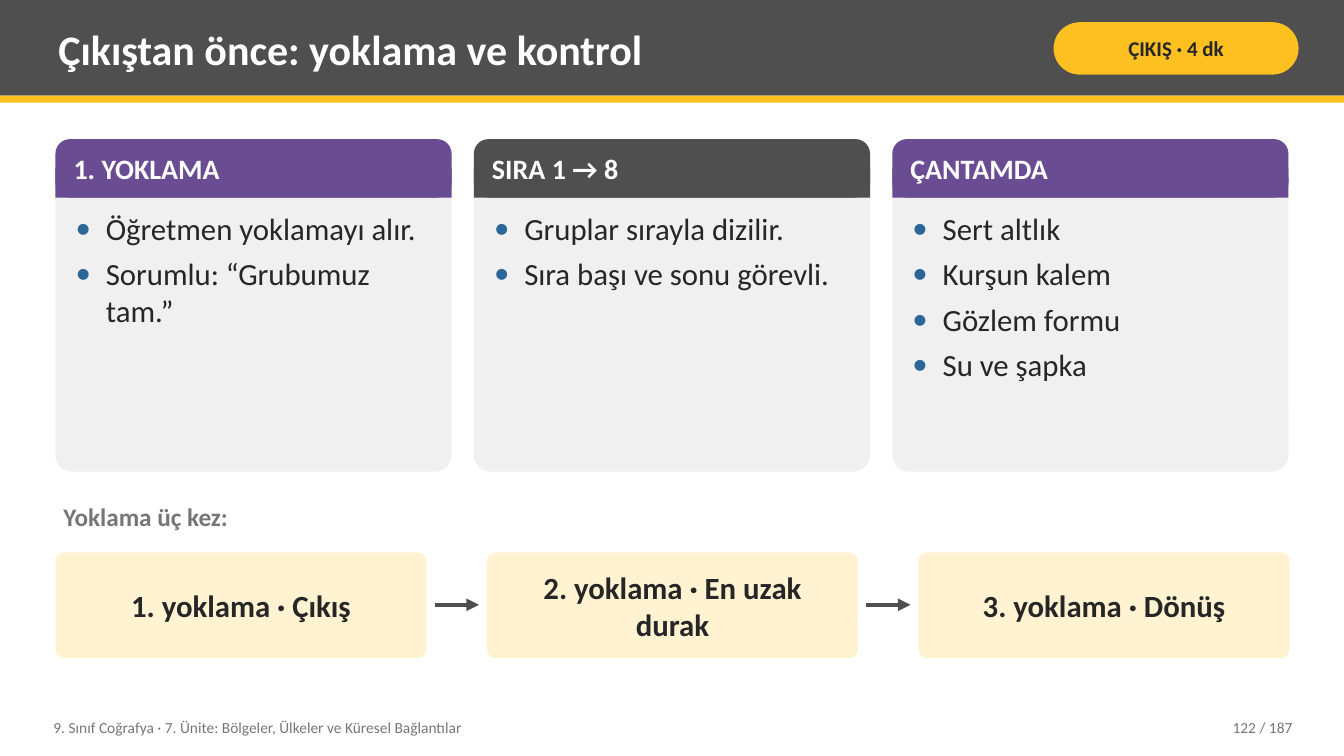
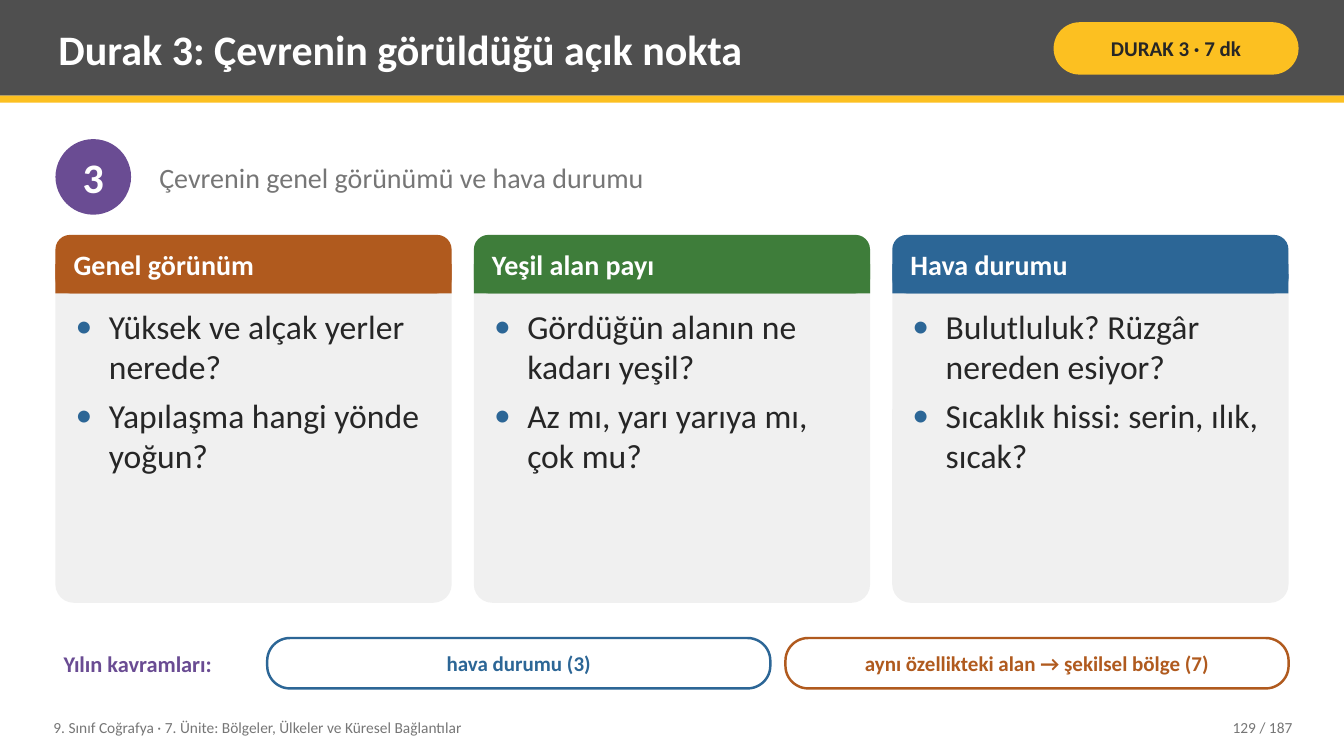
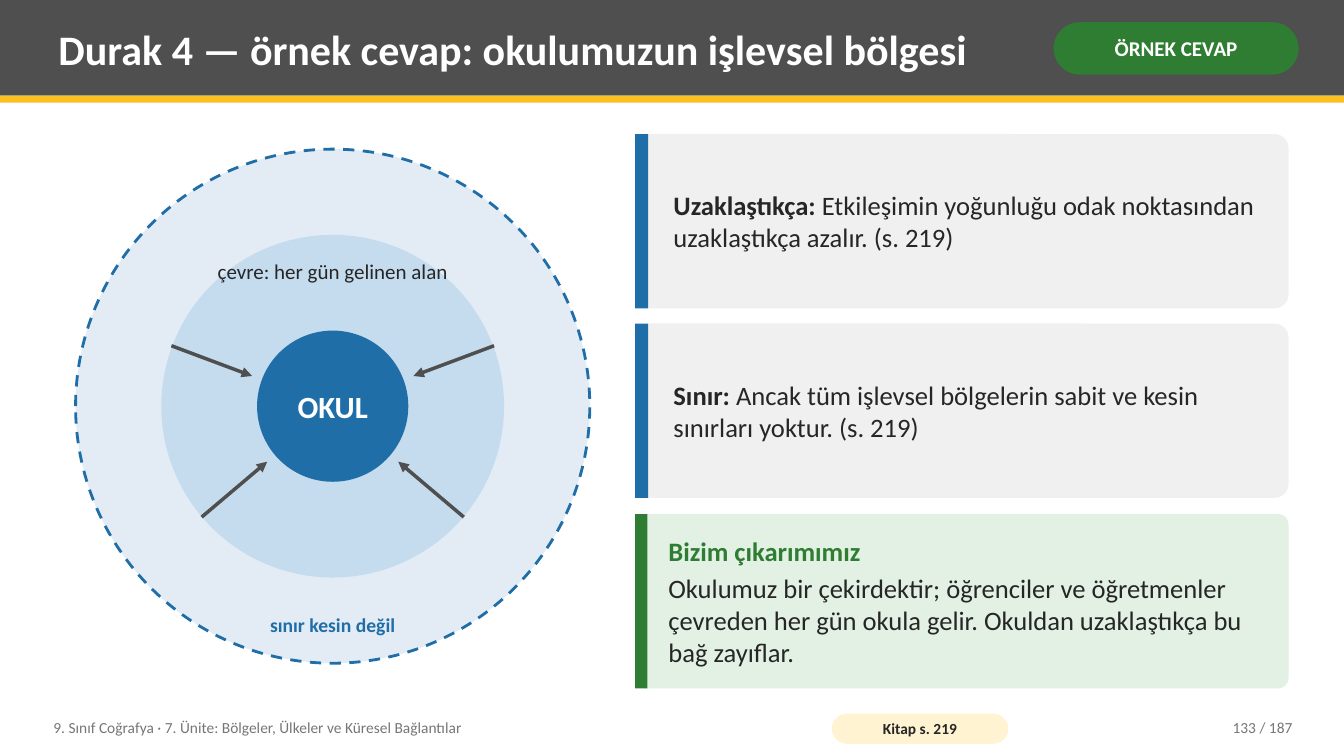
import pptx
import pptx.util
import pptx.dml.color
import pptx.enum.dml
import pptx.enum.shapes
import pptx.enum.text
import pptx.oxml.ns
from lxml import etree

PX = 9144  # 100 px to the inch
FONT = "Calibri"
COLORS = {
    "band": "4F4F4F", "yellow": "FCC021", "cream": "FFF3D1", "panel": "F0F0F0",
    "ink": "262626", "muted": "767676", "white": "FFFFFF", "purple": "6A4C93",
    "blue": "2C6696", "orange": "B05A1E", "leaf": "3E7D3A", "green": "2E7D32",
    "mint": "E3F1E4", "core": "1F6EA8", "ring": "C5DBEE", "outer": "E3ECF5",
}
FOOTER = "9. Sınıf Coğrafya · 7. Ünite: Bölgeler, Ülkeler ve Küresel Bağlantılar"
PAGES = 187
LEFT, RIGHT = 55, 1278
CARD_W, CARD_STEP = 393, 415
SHAPE = pptx.enum.shapes.MSO_SHAPE
ALIGN = pptx.enum.text.PP_ALIGN
ANCHOR = pptx.enum.text.MSO_ANCHOR


def px(*lengths):
    return [pptx.util.Emu(n * PX) for n in lengths]


def rgb(name):
    return pptx.dml.color.RGBColor.from_string(COLORS[name])


def add_run(p, text, size, color, bold=False):
    r = p.add_run()
    r.text = text
    r.font.name = FONT
    r.font.size = pptx.util.Pt(size)
    r.font.bold = bold
    r.font.color.rgb = rgb(color)


def frame(sp, anchor=ANCHOR.MIDDLE, inset=(8, 4)):
    """Set wrapping, anchor and insets (horizontal, vertical); return the text frame."""
    tf = sp.text_frame
    tf.word_wrap = True
    tf.auto_size = pptx.enum.text.MSO_AUTO_SIZE.NONE
    tf.vertical_anchor = anchor
    tf.margin_left, tf.margin_top = tf.margin_right, tf.margin_bottom = px(*inset)
    return tf


def text(s, box, words, size, color, bold=False, align=ALIGN.LEFT, anchor=ANCHOR.MIDDLE):
    tf = frame(s.shapes.add_textbox(*px(*box)), anchor)
    p = tf.paragraphs[0]
    p.alignment = align
    add_run(p, words, size, color, bold)


def shape(s, kind, box, fill=None, corner=None, line=None, width=1.75):
    sp = s.shapes.add_shape(kind, *px(*box))
    sp.shadow.inherit = False
    if corner is not None:
        sp.adjustments[0] = corner
    if fill:
        sp.fill.solid()
        sp.fill.fore_color.rgb = rgb(fill)
    else:
        sp.fill.background()
    if line:
        sp.line.color.rgb = rgb(line)
        sp.line.width = pptx.util.Pt(width)
    else:
        sp.line.fill.background()
    return sp


def label(sp, words, size, color, inset):
    p = frame(sp, inset=inset).paragraphs[0]
    p.alignment = ALIGN.CENTER
    add_run(p, words, size, color, True)


def circle(s, cx, cy, diameter, **style):
    box = (cx - diameter // 2, cy - diameter // 2, diameter, diameter)
    return shape(s, SHAPE.OVAL, box, **style)


def arrow(s, x1, y1, x2, y2, width):
    cn = s.shapes.add_connector(pptx.enum.shapes.MSO_CONNECTOR.STRAIGHT, *px(x1, y1, x2, y2))
    cn.line.color.rgb = rgb("band")
    cn.line.width = pptx.util.Pt(width)
    etree.SubElement(cn.line._get_or_add_ln(), pptx.oxml.ns.qn("a:tailEnd"), type="triangle")
    etree.SubElement(cn.element.spPr, pptx.oxml.ns.qn("a:effectLst"))


def place(sp, box):
    """Move a placeholder to box and bring it to the front."""
    sp.left, sp.top, sp.width, sp.height = px(*box)
    sp.element.getparent().append(sp.element)


def set_bullet(p, indent):
    pPr = p._p.get_or_add_pPr()
    pPr.set("marL", str(indent * PX))
    pPr.set("indent", str(-indent * PX))
    color = etree.SubElement(pPr, pptx.oxml.ns.qn("a:buClr"))
    etree.SubElement(color, pptx.oxml.ns.qn("a:srgbClr"), val=COLORS["blue"])
    etree.SubElement(pPr, pptx.oxml.ns.qn("a:buFont"), typeface=FONT)
    etree.SubElement(pPr, pptx.oxml.ns.qn("a:buChar"), char="•")


def bullets(sp, box, items, size, indent):
    place(sp, box)
    tf = frame(sp, ANCHOR.TOP)
    for i, item in enumerate(items):
        p = tf.add_paragraph() if i else tf.paragraphs[0]
        set_bullet(p, indent)
        p.space_before = pptx.util.Pt(0)
        p.space_after = pptx.util.Pt(6 if i < len(items) - 1 else 0)
        add_run(p, item, size, "ink")


def cards(s, top, height, size, indent, contents):
    """Row of cards; the lists fill the layout's body placeholders."""
    bodies = [sp for sp in s.placeholders if sp.placeholder_format.idx]
    for i, (heading, color, items) in enumerate(contents):
        x = LEFT + i * CARD_STEP
        shape(s, SHAPE.ROUNDED_RECTANGLE, (x, top, CARD_W, height), "panel", 0.05)
        shape(s, SHAPE.ROUNDED_RECTANGLE, (x, top, CARD_W, 58), color, 0.25)
        shape(s, SHAPE.RECTANGLE, (x, top + 29, CARD_W, 29), color)
        text(s, (x + 10, top, CARD_W - 20, 58), heading, 20, "white", True)
        bullets(bodies[i], (x + 12, top + 66, CARD_W - 24, height - 74), items, size, indent)
    for sp in bodies[len(contents):]:
        sp.element.getparent().remove(sp.element)


def new_slide(prs, layout, title, tag, page, tag_fill="yellow", tag_color="ink"):
    s = prs.slides.add_slide(prs.slide_layouts.get_by_name(layout))
    shape(s, SHAPE.RECTANGLE, (0, 0, 1333, 95), "band")
    shape(s, SHAPE.RECTANGLE, (0, 95, 1333, 7), "yellow")
    place(s.shapes.title, (50, 7, 975, 82))
    p = frame(s.shapes.title).paragraphs[0]
    p.alignment = ALIGN.LEFT
    add_run(p, title, 30, "white", True)
    pill = shape(s, SHAPE.ROUNDED_RECTANGLE, (1045, 22, 243, 52), tag_fill, 0.5)
    label(pill, tag, 15, tag_color, (5, 2))
    text(s, (45, 704, 760, 36), FOOTER, 11, "muted")
    text(s, (1130, 704, 160, 36), f"{page} / {PAGES}", 11, "muted", align=ALIGN.RIGHT)
    return s


def note(s, top, paragraphs, fill="panel", accent="core", corner=0.08, bar=13, pad=30):
    """Panel with an accent bar; each paragraph is a list of (text, color, bold)."""
    x, height = 630, 173
    shape(s, SHAPE.ROUNDED_RECTANGLE, (x, top, RIGHT - x, height), fill, corner)
    shape(s, SHAPE.RECTANGLE, (x, top, bar, height), accent)
    tf = frame(s.shapes.add_textbox(*px(x + pad, top, RIGHT - x - pad - 12, height)))
    for i, runs in enumerate(paragraphs):
        p = tf.add_paragraph() if i else tf.paragraphs[0]
        if i < len(paragraphs) - 1:
            p.space_after = pptx.util.Pt(4)
        for words, color, bold in runs:
            add_run(p, words, 19, color, bold)


def roll_call_slide(prs):
    s = new_slide(prs, "Comparison", "Çıkıştan önce: yoklama ve kontrol", "ÇIKIŞ · 4 dk", 122)
    cards(s, 138, 330, 22, 30, [
        ("1. YOKLAMA", "purple", ["Öğretmen yoklamayı alır.", "Sorumlu: “Grubumuz tam.”"]),
        ("SIRA 1 → 8", "band", ["Gruplar sırayla dizilir.", "Sıra başı ve sonu görevli."]),
        ("ÇANTAMDA", "purple", ["Sert altlık", "Kurşun kalem", "Gözlem formu", "Su ve şapka"]),
    ])
    text(s, (LEFT, 493, RIGHT - LEFT, 45), "Yoklama üç kez:", 18, "muted", True,
         anchor=ANCHOR.TOP)
    width, gap = 368, 60
    for i, moment in enumerate(["Çıkış", "En uzak durak", "Dönüş"]):
        x = LEFT + i * (width + gap)
        if i:
            arrow(s, x - gap + 8, 600, x - 8, 600, 3)
        step = shape(s, SHAPE.ROUNDED_RECTANGLE, (x, 548, width, 105), "cream", 0.08)
        label(step, f"{i + 1}. yoklama · {moment}", 22, "ink", (14, 8))


def viewpoint_slide(prs):
    s = new_slide(prs, "Comparison", "Durak 3: Çevrenin görüldüğü açık nokta",
                  "DURAK 3 · 7 dk", 129)
    number = shape(s, SHAPE.OVAL, (LEFT, 138, 75, 75), "purple")
    label(number, "3", 30, "white", (0, 0))
    number.text_frame.word_wrap = False
    text(s, (150, 138, 1128, 75), "Çevrenin genel görünümü ve hava durumu", 20, "muted")
    cards(s, 233, 365, 24, 33, [
        ("Genel görünüm", "orange",
         ["Yüksek ve alçak yerler nerede?", "Yapılaşma hangi yönde yoğun?"]),
        ("Yeşil alan payı", "leaf",
         ["Gördüğün alanın ne kadarı yeşil?", "Az mı, yarı yarıya mı, çok mu?"]),
        ("Hava durumu", "blue",
         ["Bulutluluk? Rüzgâr nereden esiyor?", "Sıcaklık hissi: serin, ılık, sıcak?"]),
    ])
    text(s, (LEFT, 633, 205, 50), "Yılın kavramları:", 16, "purple", True)
    concepts = [("hava durumu (3)", "blue"),
                ("aynı özellikteki alan → şekilsel bölge (7)", "orange")]
    for i, (concept, color) in enumerate(concepts):
        pill = shape(s, SHAPE.ROUNDED_RECTANGLE, (265 + i * 514, 633, 499, 50),
                     "white", 0.45, color)
        label(pill, concept, 15, color, (6, 0))


def school_region_slide(prs):
    s = new_slide(prs, "Title Only", "Durak 4 — örnek cevap: okulumuzun işlevsel bölgesi",
                  "ÖRNEK CEVAP", 133, "green", "white")
    cx, cy = 330, 403
    for diameter, fill in [(510, "outer"), (340, "ring"), (150, "core")]:
        circle(s, cx, cy, diameter, fill=fill)
    border = circle(s, cx, cy, 510, line="core", width=2)
    border.line.dash_style = pptx.enum.dml.MSO_LINE.DASH
    text(s, (255, 368, 150, 70), "OKUL", 22, "white", True, ALIGN.CENTER)
    text(s, (170, 241, 320, 55), "çevre: her gün gelinen alan", 15, "ink", align=ALIGN.CENTER)
    text(s, (170, 595, 320, 50), "sınır kesin değil", 14, "core", True, ALIGN.CENTER)
    for x1, y1, x2, y2 in [(170, 343, 250, 373), (200, 513, 265, 458)]:
        arrow(s, x1, y1, x2, y2, 2.5)
        arrow(s, 2 * cx - x1, y1, 2 * cx - x2, y2, 2.5)

    tops = [133 + i * 377 // 2 for i in range(3)]
    note(s, tops[0], [[
        ("Uzaklaştıkça:", "ink", True),
        (" Etkileşimin yoğunluğu odak noktasından uzaklaştıkça azalır. (s. 219)", "ink", False),
    ]])
    note(s, tops[1], [[
        ("Sınır:", "ink", True),
        (" Ancak tüm işlevsel bölgelerin sabit ve kesin sınırları yoktur. (s. 219)", "ink", False),
    ]])
    note(s, tops[2], [
        [("Bizim çıkarımımız", "green", True)],
        [("Okulumuz bir çekirdektir; öğrenciler ve öğretmenler çevreden her gün okula gelir. "
          "Okuldan uzaklaştıkça bu bağ zayıflar.", "ink", False)],
    ], "mint", "green", 0.06, 12, 25)
    source = shape(s, SHAPE.ROUNDED_RECTANGLE, (825, 708, 175, 30), "cream", 0.5)
    label(source, "Kitap s. 219", 11, "ink", (4, 0))


def main():
    prs = pptx.Presentation()
    prs.slide_width, prs.slide_height = px(1333, 750)
    roll_call_slide(prs)
    viewpoint_slide(prs)
    school_region_slide(prs)
    prs.save("out.pptx")


if __name__ == "__main__":
    main()
